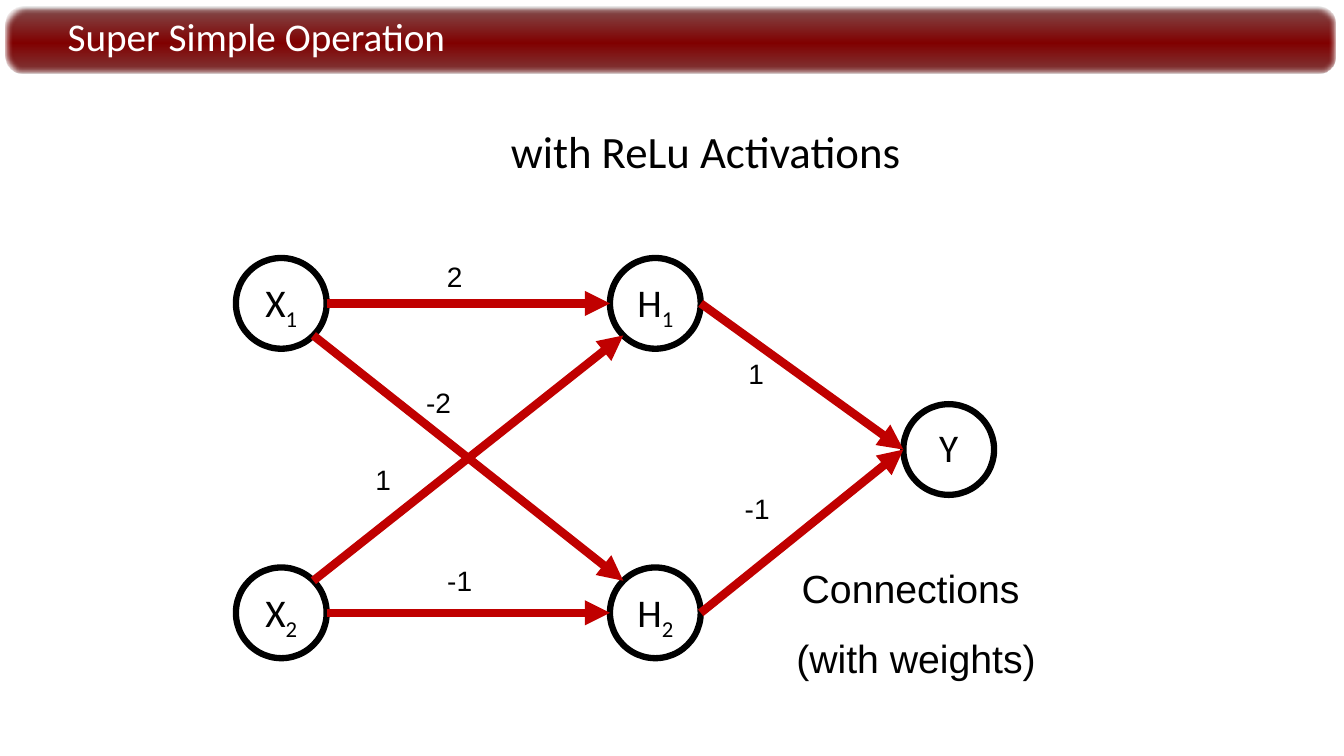
from math import sqrt
from lxml.etree import SubElement
from pptx import Presentation
from pptx.dml.color import RGBColor
from pptx.enum.shapes import MSO_CONNECTOR, MSO_SHAPE
from pptx.enum.text import MSO_ANCHOR, PP_ALIGN
from pptx.oxml.ns import qn
from pptx.util import Inches, Pt


def color(value):
    return RGBColor.from_string(value)


def write(shape, text, size, font, ink="000000", align=PP_ALIGN.CENTER):
    frame = shape.text_frame
    frame.word_wrap = True
    frame.text = text
    for paragraph in frame.paragraphs:
        paragraph.alignment = align
        paragraph.font.size = Pt(size)
        paragraph.font.name = font
        paragraph.font.color.rgb = color(ink)
    return frame


presentation = Presentation()
presentation.slide_width = Inches(13.33)
presentation.slide_height = Inches(7.5)
slide = presentation.slides.add_slide(presentation.slide_layouts[6])

# Title bar with a gradient and soft edges
bar = slide.shapes.add_shape(
    MSO_SHAPE.ROUNDED_RECTANGLE, Inches(0.05), Inches(0.07), Inches(13.2), Inches(0.66))
bar.adjustments[0] = 0.271
bar.shadow.inherit = False
bar.line.fill.background()
bar.fill.gradient()
bar.fill.gradient_angle = 270
stops = bar._element.spPr.find(".//" + qn("a:gsLst"))
for stop in list(stops):
    stops.remove(stop)
for position, shade, opacity in [
        (0, "808080", 50), (5, "814949", 100), (54, "800000", 100),
        (96, "7F3838", 100), (100, "7F6060", 100), (100, "808080", 50)]:
    stop = SubElement(stops, qn("a:gs"), pos=str(position * 1000))
    shade_element = SubElement(stop, qn("a:srgbClr"), val=shade)
    if opacity < 100:
        SubElement(shade_element, qn("a:alpha"), val=str(opacity * 1000))
effects = bar._element.spPr.find(qn("a:effectLst"))
SubElement(effects, qn("a:softEdge"), rad=str(Pt(2.5)))

# Title
title = slide.shapes.add_textbox(Inches(0.67), Inches(0.11), Inches(12.43), Inches(0.55))
frame = write(title, "Super Simple Operation", 28, "Calibri", "FFFFFF", PP_ALIGN.LEFT)
frame.margin_left = frame.margin_right = frame.margin_top = frame.margin_bottom = 0
frame.vertical_anchor = MSO_ANCHOR.MIDDLE
frame.paragraphs[0].line_spacing = 0.9

# Subtitle
subtitle = slide.shapes.add_textbox(Inches(4.54), Inches(1.18), Inches(4.92), Inches(0.64))
write(subtitle, "with ReLu Activations", 32, "Calibri")

# Neurons: letter, index, centre
RADIUS = 0.45
centers = {
    "X1": (2.79, 3.01), "X2": (2.79, 6.08),
    "H1": (6.5, 3.01), "H2": (6.5, 6.08), "Y": (9.41, 4.46),
}
for name, (x, y) in centers.items():
    neuron = slide.shapes.add_shape(
        MSO_SHAPE.OVAL, Inches(x - RADIUS), Inches(y - RADIUS),
        Inches(2 * RADIUS), Inches(2 * RADIUS))
    neuron.shadow.inherit = False
    neuron.fill.solid()
    neuron.fill.fore_color.rgb = color("FFFFFF")
    neuron.line.color.rgb = color("000000")
    neuron.line.width = Pt(4.5)
    frame = write(neuron, name[0], 28, "Calibri")
    frame.margin_left = frame.margin_right = 0
    frame.vertical_anchor = MSO_ANCHOR.MIDDLE
    paragraph = frame.paragraphs[0]
    paragraph.line_spacing = 0.9
    if name[1:]:
        index = paragraph.add_run()
        index.text = name[1:]
        index.font._element.set("baseline", "-25000")

# Weighted connections: source, target, weight, left and top of the weight label
connections = [
    ("X1", "H1", "2", 3.61, 2.53), ("X1", "H2", "-2", 3.45, 3.78),
    ("X2", "H1", "1", 2.9, 4.54), ("X2", "H2", "-1", 3.66, 5.54),
    ("H1", "Y", "1", 6.6, 3.49), ("H2", "Y", "-1", 6.61, 4.83),
]
for source, target, weight, left, top in connections:
    (x1, y1), (x2, y2) = centers[source], centers[target]
    # Crossing arrows meet the circles on their diagonals, the others at their sides
    dx, dy = RADIUS, 0
    if target != "Y" and y1 != y2:
        dx = RADIUS / sqrt(2)
        dy = dx if y2 > y1 else -dx
    arrow = slide.shapes.add_connector(
        MSO_CONNECTOR.STRAIGHT, Inches(x1 + dx), Inches(y1 + dy),
        Inches(x2 - dx), Inches(y2 - dy))
    arrow.line.color.rgb = color("C00000")
    arrow.line.width = Pt(6)
    SubElement(arrow.line._get_or_add_ln(), qn("a:tailEnd"), type="triangle")
    SubElement(arrow._element.spPr, qn("a:effectLst"))
    label = slide.shapes.add_textbox(Inches(left), Inches(top), Inches(1.8), Inches(0.44))
    write(label, weight, 20, "Arial")

# Caption
caption = slide.shapes.add_textbox(Inches(7.08), Inches(5.55), Inches(4.01), Inches(1.28))
frame = write(caption, "Connections \n(with weights)", 28, "Arial")
frame.paragraphs[1].space_before = Pt(16)

presentation.save("out.pptx")
